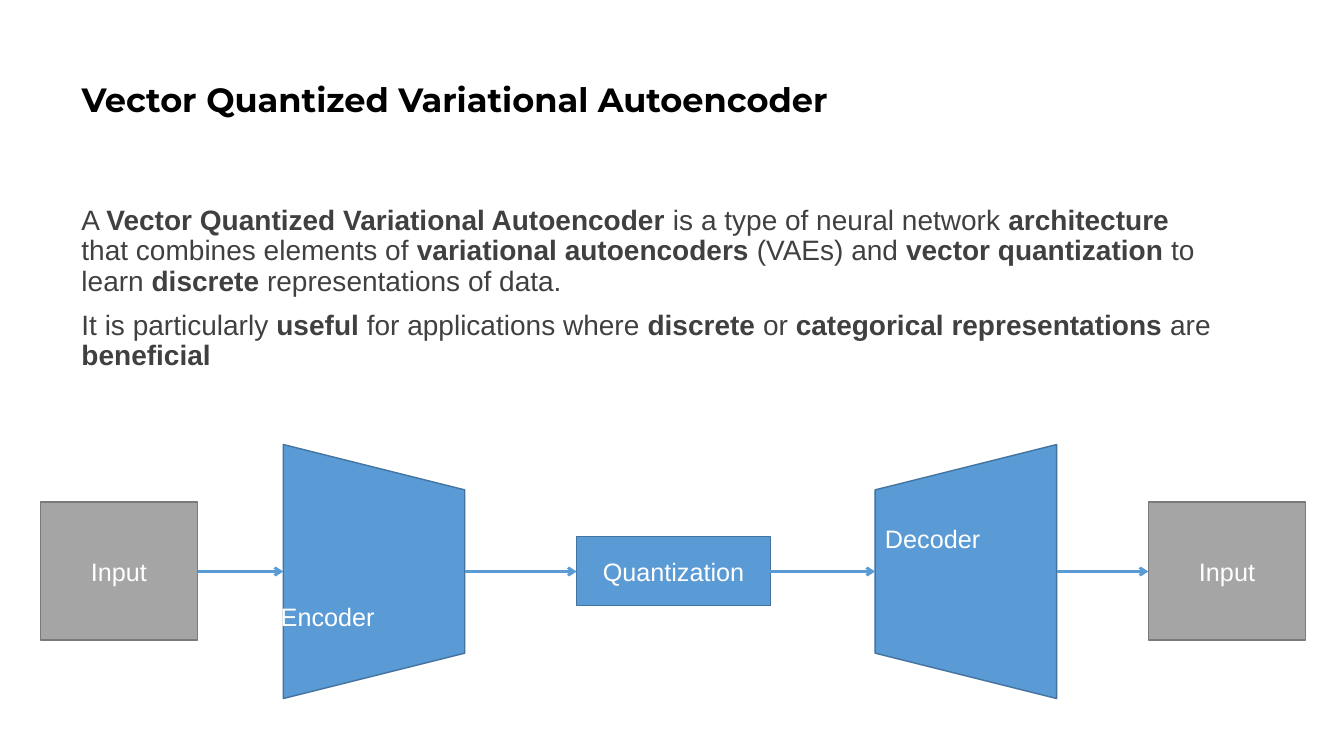
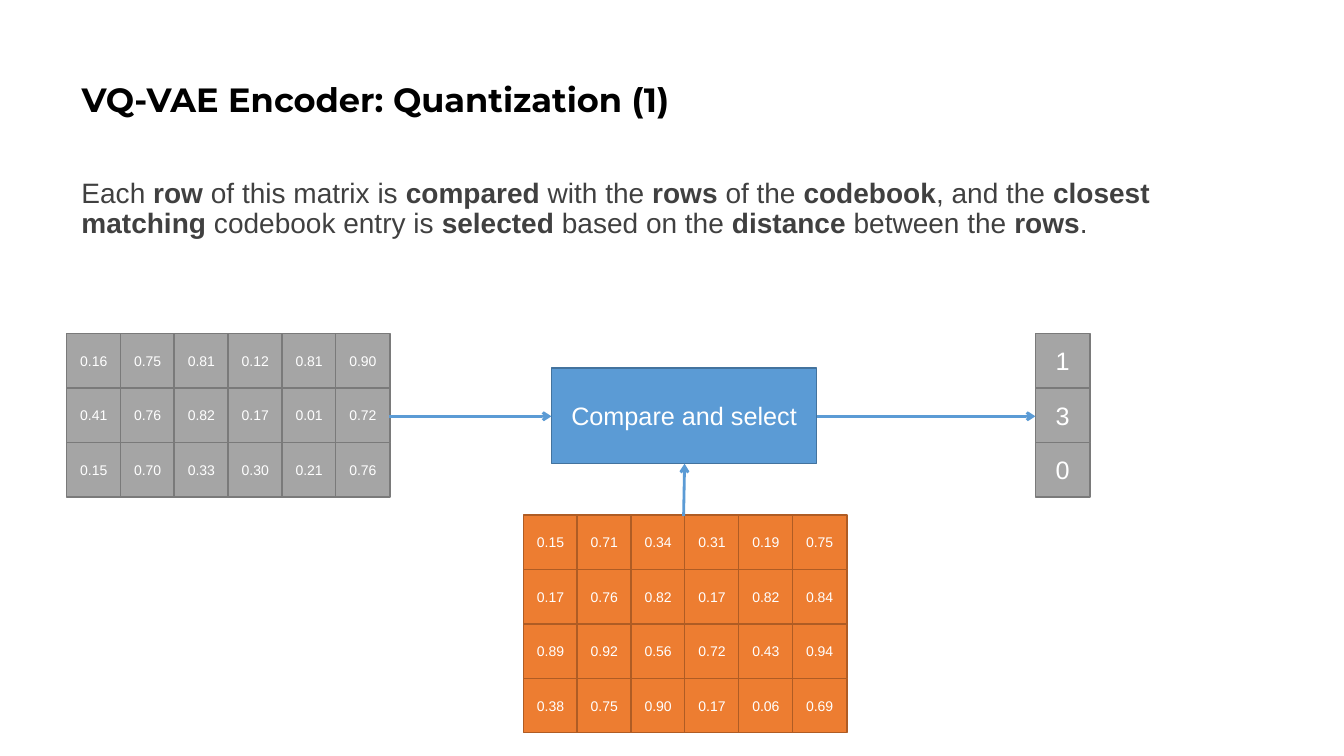
"""Build two slides on the vector quantized variational autoencoder."""
from pptx import Presentation
from pptx.dml.color import RGBColor
from pptx.enum.shapes import MSO_CONNECTOR, MSO_SHAPE
from pptx.enum.text import MSO_ANCHOR, MSO_AUTO_SIZE, PP_ALIGN
from pptx.oxml.ns import qn
from pptx.util import Pt
from lxml import etree

RECT, TRAPEZOID = MSO_SHAPE.RECTANGLE, MSO_SHAPE.TRAPEZOID
STRAIGHT = MSO_CONNECTOR.STRAIGHT
LEFT, CENTER = PP_ALIGN.LEFT, PP_ALIGN.CENTER
MIDDLE, NO_FIT = MSO_ANCHOR.MIDDLE, MSO_AUTO_SIZE.NONE

PX = 9144
SLIDE_SIZE = (1333, 750)
TITLE_BOX = (71, 28, 1150, 145)
BLACK, WHITE, BODY_GRAY = "000000", "FFFFFF", "404040"
GRAY = ("A5A5A5", "7A7A7A")
BLUE = ("5B9BD5", "43739E")
ORANGE = ("ED7D31", "AF5C24")
CELL = 54
GRID_WIDTH = 321

OVERVIEW = {
    "title": "Vector Quantized Variational Autoencoder",
    "body_box": (71, 200, 1150, 186),
    "body": [
        "A **Vector Quantized Variational Autoencoder** is a type of neural network "
        "**architecture **that combines elements of **variational autoencoders** (VAEs) and "
        "**vector quantization** to learn **discrete** representations of data.",
        "It is particularly **useful **for applications where **discrete **or "
        "**categorical representations **are **beneficial**",
    ],
    "blocks": [
        ("Input", (40, 498, 156, 137), GRAY),
        ("Quantization", (572, 532, 192, 69), BLUE),
        ("Input", (1139, 498, 156, 137), GRAY),
    ],
    "arrows": [
        ((196, 567), (281, 567)),
        ((461, 567), (572, 567)),
        ((764, 567), (868, 567)),
        ((1048, 567), (1139, 567)),
    ],
}
CODERS = [
    ("Encoder", (245, 477, 252, 180), 90, (265, 592, 120, 40)),
    ("Decoder", (832, 477, 252, 180), 270, (865, 514, 120, 40)),
]

QUANTIZATION = {
    "title": "VQ-VAE Encoder: Quantization (1)",
    "body_box": (71, 173, 1150, 112),
    "body": [
        "Each **row **of this matrix is **compared **with the **rows **of the **codebook**, "
        "and the **closest matching **codebook entry is **selected **based on the "
        "**distance** between the **rows**.",
    ],
    "blocks": [("Compare and select", (547, 365, 263, 95), BLUE)],
    "arrows": [
        ((386, 413), (547, 413)),
        ((678, 512), (679, 460)),
        ((810, 413), (1027, 413)),
    ],
}
MATRIX = [
    ("0.16", "0.75", "0.81", "0.12", "0.81", "0.90"),
    ("0.41", "0.76", "0.82", "0.17", "0.01", "0.72"),
    ("0.15", "0.70", "0.33", "0.30", "0.21", "0.76"),
]
CODEBOOK = [
    ("0.15", "0.71", "0.34", "0.31", "0.19", "0.75"),
    ("0.17", "0.76", "0.82", "0.17", "0.82", "0.84"),
    ("0.89", "0.92", "0.56", "0.72", "0.43", "0.94"),
    ("0.38", "0.75", "0.90", "0.17", "0.06", "0.69"),
]
SELECTED = [("1",), ("3",), ("0",)]
GRIDS = [
    (MATRIX, (66, 331), GRAY, 10),
    (CODEBOOK, (519, 511), ORANGE, 10),
    (SELECTED, (1027, 331), GRAY, 18),
]


def emu(lengths):
    return [round(length * PX) for length in lengths]


def rgb(value):
    return RGBColor.from_string(value)


def style(paragraph, size, color, font="Arial", align=LEFT):
    paragraph.alignment = align
    paragraph.font.name = font
    paragraph.font.size = Pt(size)
    paragraph.font.color.rgb = rgb(color)


def add_block(slide, text, box, colors, size=18, kind=RECT):
    block = slide.shapes.add_shape(kind, *emu(box))
    block.shadow.inherit = False
    block.fill.solid()
    block.fill.fore_color.rgb = rgb(colors[0])
    block.line.color.rgb = rgb(colors[1])
    block.line.width = Pt(1)
    if text:
        block.text_frame.text = text
        style(block.text_frame.paragraphs[0], size, WHITE, align=CENTER)
    return block


def add_coder(slide, name, box, rotation, label_box):
    add_block(slide, "", box, BLUE, kind=TRAPEZOID).rotation = rotation
    label = slide.shapes.add_textbox(*emu(label_box)).text_frame
    label.word_wrap = True
    label.vertical_anchor = MIDDLE
    label.text = name
    style(label.paragraphs[0], 18, WHITE, align=CENTER)


def add_arrow(slide, start, end):
    arrow = slide.shapes.add_connector(STRAIGHT, *emu(start + end))
    arrow.line.color.rgb = rgb(BLUE[0])
    arrow.line.width = Pt(2)
    properties = arrow.element.spPr
    etree.SubElement(properties.find(qn("a:ln")), qn("a:tailEnd"), type="arrow")
    etree.SubElement(properties, qn("a:effectLst"))


def add_grid(slide, rows, origin, colors, size):
    step = (GRID_WIDTH - CELL) / 5
    for r, row in enumerate(rows):
        for c, value in enumerate(row):
            box = (origin[0] + c * step, origin[1] + r * CELL, CELL, CELL)
            add_block(slide, value, box, colors, size)


def add_body(slide, box, texts):
    body = slide.shapes.add_textbox(*emu(box)).text_frame
    body.word_wrap = True
    for i, text in enumerate(texts):
        paragraph = body.add_paragraph() if i else body.paragraphs[0]
        style(paragraph, 20, BODY_GRAY)
        paragraph.line_spacing = 0.9
        paragraph.space_before = Pt(10)
        for part, words in enumerate(text.split("**")):
            if words:
                run = paragraph.add_run()
                run.text = words
                run.font.bold = part % 2 == 1


def add_slide(deck, content):
    slide = deck.slides.add_slide(deck.slide_layouts[5])
    title = slide.shapes.title
    title.left, title.top, title.width, title.height = emu(TITLE_BOX)
    frame = title.text_frame
    frame.text = content["title"]
    frame.vertical_anchor = MIDDLE
    frame.auto_size = NO_FIT
    heading = frame.paragraphs[0]
    style(heading, 24, BLACK, "Montserrat")
    heading.font.bold = True
    heading.line_spacing = 0.9
    add_body(slide, content["body_box"], content["body"])
    for block in content["blocks"]:
        add_block(slide, *block)
    return slide


def add_arrows(slide, content):
    for start, end in content["arrows"]:
        add_arrow(slide, start, end)


def main():
    deck = Presentation()
    deck.slide_width, deck.slide_height = emu(SLIDE_SIZE)

    overview = add_slide(deck, OVERVIEW)
    for coder in CODERS:
        add_coder(overview, *coder)
    add_arrows(overview, OVERVIEW)

    quantization = add_slide(deck, QUANTIZATION)
    for grid in GRIDS:
        add_grid(quantization, *grid)
    add_arrows(quantization, QUANTIZATION)

    deck.save("out.pptx")


if __name__ == "__main__":
    main()
